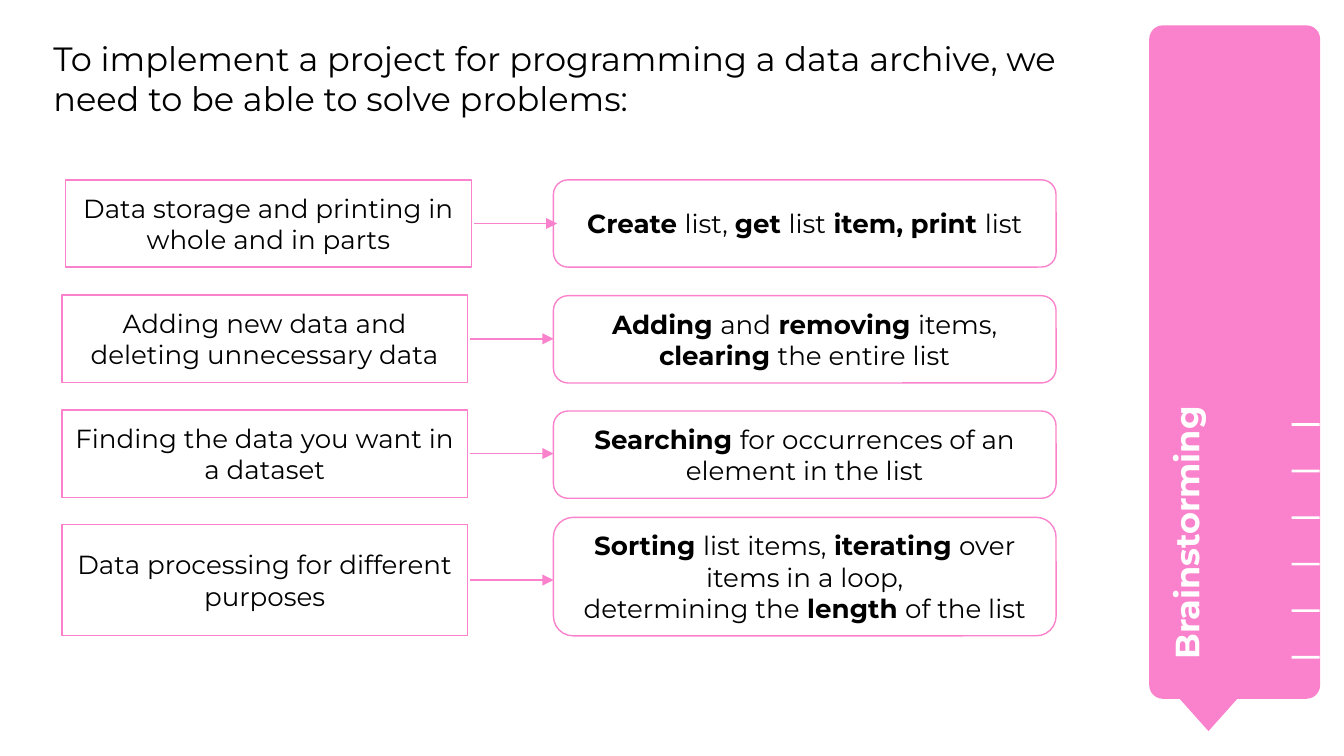
import pptx
import pptx.util
import pptx.dml.color
import pptx.enum.shapes
import pptx.enum.text
import pptx.oxml.ns
from lxml import etree

Cm, Pt = pptx.util.Cm, pptx.util.Pt
SHAPE = pptx.enum.shapes.MSO_SHAPE
ALIGN = pptx.enum.text.PP_ALIGN
ANCHOR = pptx.enum.text.MSO_ANCHOR
FONT = "Montserrat"
COLORS = {"pink": "FA82CC", "white": "FFFFFF", "black": "000000"}

PROBLEM_W, ANSWER_X, ANSWER_W = 7.67, 10.46, 9.5
ARROW_GAP, ARROW_W = 0.05, 1.57

# Each row: problem (left, top, height, text), answer (top, height, paragraphs of (text, bold)).
ROWS = [
    ((1.24, 3.4, 1.65, "Data storage and printing in whole and in parts"),
     (3.4, 1.65, [[("Create ", True), ("list, ", False), ("get ", True), ("list", False),
                   (" item, print ", True), ("list", False)]])),
    ((1.17, 5.58, 1.65, "Adding new data and deleting unnecessary data"),
     (5.59, 1.65, [[("Adding ", True), ("and", False), (" removing ", True), ("items,", False),
                    (" clearing ", True), ("the entire list", False)]])),
    ((1.17, 7.75, 1.65, "Finding the data you want in a dataset"),
     (7.77, 1.65, [[("Searching ", True), ("for occurrences of an element in the list", False)]])),
    ((1.17, 9.91, 2.11, "Data processing for different purposes"),
     (9.78, 2.24, [[("Sorting ", True), ("list items,", False), (" iterating ", True),
                    ("over items in a loop,", False)],
                   [("determining the", False), (" length ", True), ("of the list", False)]])),
]


def rgb(name):
    """Return the named colour."""
    return pptx.dml.color.RGBColor.from_string(COLORS[name])


def write(sp, paragraphs, size, color="black", align=ALIGN.LEFT, anchor=ANCHOR.TOP):
    """Fill a shape with paragraphs of (text, bold) runs."""
    tf = sp.text_frame
    tf.word_wrap = True
    tf.auto_size = pptx.enum.text.MSO_AUTO_SIZE.NONE
    tf.vertical_anchor = anchor
    tf.margin_left = tf.margin_right = tf.margin_top = tf.margin_bottom = Cm(0.25)
    for i, runs in enumerate(paragraphs):
        p = tf.add_paragraph() if i else tf.paragraphs[0]
        p.alignment = align
        p.line_spacing = 1.0
        p.space_before = Pt(0)
        for text, bold in runs:
            r = p.add_run()
            r.text = text
            r.font.name, r.font.size, r.font.bold = FONT, Pt(size), bold
            r.font.color.rgb = rgb(color)


def add_shape(s, kind, x, y, w, h, fill, line=None):
    """Add a flat preset shape."""
    sp = s.shapes.add_shape(kind, Cm(x), Cm(y), Cm(w), Cm(h))
    sp.shadow.inherit = False
    sp.fill.solid()
    sp.fill.fore_color.rgb = rgb(fill)
    if line:
        sp.line.color.rgb = rgb(line)
        sp.line.width = Pt(0.75)
    else:
        sp.line.fill.background()
    return sp


def add_box(s, kind, x, y, w, h, paragraphs):
    """Add an outlined box with centred text."""
    sp = add_shape(s, kind, x, y, w, h, "white", "pink")
    write(sp, paragraphs, 14, align=ALIGN.CENTER, anchor=ANCHOR.MIDDLE)


def add_arrow(s, x, y):
    """Add a horizontal arrow pointing right."""
    cx = s.shapes.add_connector(pptx.enum.shapes.MSO_CONNECTOR.STRAIGHT,
                                Cm(x), Cm(y), Cm(x + ARROW_W), Cm(y))
    cx.line.color.rgb = rgb("pink")
    cx.line.width = Pt(0.75)
    qn = pptx.oxml.ns.qn
    etree.SubElement(cx.line._get_or_add_ln(), qn("a:tailEnd"), type="triangle")
    etree.SubElement(cx._element.spPr, qn("a:effectLst"))


def add_banner(s, label):
    """Add the side banner with its pointer, ticks and upright label."""
    sp = add_shape(s, SHAPE.ROUNDED_RECTANGLE, 21.72, 0.48, 3.23, 12.73, "pink")
    sp.adjustments[0] = 0.08
    add_shape(s, SHAPE.FLOWCHART_MERGE, 22, 12.88, 1.68, 0.94, "pink")
    for i in range(6):
        add_shape(s, SHAPE.RECTANGLE, 24.41, 8 + 0.88 * i, 0.53, 0.05, "white")
    sp = s.shapes.add_textbox(Cm(18.14), Cm(7.37), Cm(8.99), Cm(1.7))
    sp.rotation = 270
    write(sp, [[(label, True)]], 18, "white")


def add_title(s, text):
    """Place and format the slide title."""
    sp = s.shapes.title
    sp.left, sp.top, sp.width, sp.height = Cm(0.76), Cm(0.46), Cm(20.7), Cm(2.29)
    write(sp, [[(text, False)]], 18)
    sp.text_frame.paragraphs[0].space_after = Pt(10)


def main():
    """Build and save the slide."""
    prs = pptx.Presentation()
    prs.slide_width, prs.slide_height = Cm(25.4), Cm(14.29)
    s = prs.slides.add_slide(prs.slide_layouts[5])
    add_banner(s, "Brainstorming")
    add_title(s, "To implement a project for programming a data archive, "
                 "we need to be able to solve problems:")
    for (x, y, h, problem), (answer_y, answer_h, answer) in ROWS:
        add_box(s, SHAPE.ROUNDED_RECTANGLE, ANSWER_X, answer_y, ANSWER_W, answer_h, answer)
        add_arrow(s, x + PROBLEM_W + ARROW_GAP, y + h / 2)
        add_box(s, SHAPE.RECTANGLE, x, y, PROBLEM_W, h, [[(problem, False)]])
    prs.save("out.pptx")


if __name__ == "__main__":
    main()
